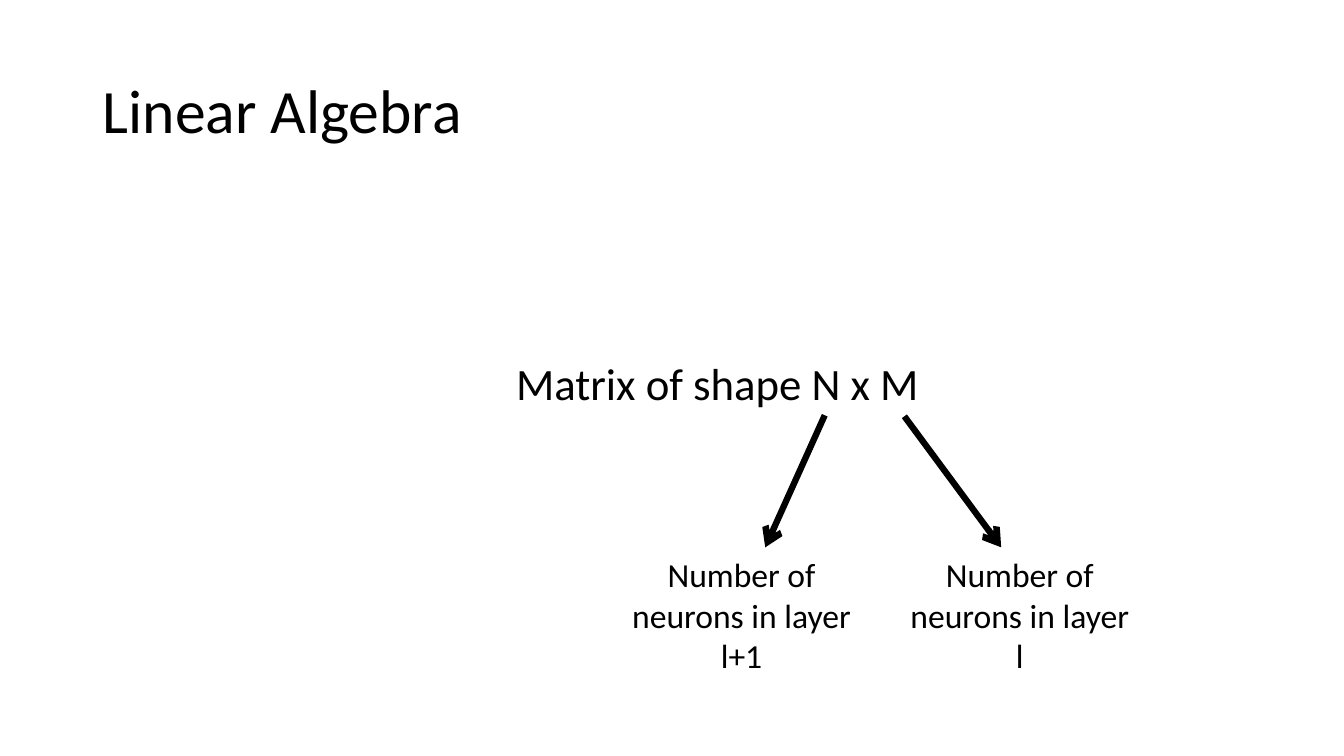
import pptx
import pptx.dml.color
import pptx.enum.shapes
import pptx.enum.text
import pptx.oxml
import pptx.oxml.ns
import pptx.util
from pptx.util import Inches

COLORS = {"ink": "000000", "background": "FFFFFF"}
FONT = "Calibri"
ALIGN = pptx.enum.text.PP_ALIGN


def rgb(name):
    """Return the named colour."""
    return pptx.dml.color.RGBColor.from_string(COLORS[name])


def write_text(shape, text, size, alignment=ALIGN.LEFT):
    """Put one formatted paragraph in a shape."""
    shape.text_frame.word_wrap = True
    paragraph = shape.text_frame.paragraphs[0]
    paragraph.text = text
    paragraph.alignment = alignment
    paragraph.font.name = FONT
    paragraph.font.size = pptx.util.Pt(size)
    paragraph.font.color.rgb = rgb("ink")
    return paragraph


def add_title(slide, left, top, width, height):
    """Place the slide title in its box."""
    title = slide.shapes.title
    title.left, title.top = Inches(left), Inches(top)
    title.width, title.height = Inches(width), Inches(height)
    paragraph = write_text(title, "Linear Algebra", 44)
    paragraph.line_spacing = 0.9
    title.text_frame.vertical_anchor = pptx.enum.text.MSO_ANCHOR.MIDDLE


def add_label(slide, box, text, size, alignment=ALIGN.LEFT):
    """Add a text box."""
    label = slide.shapes.add_textbox(*map(Inches, box))
    write_text(label, text, size, alignment)


def add_arrow(slide, start, end):
    """Draw a thick line with an open arrowhead at its end."""
    arrow = slide.shapes.add_connector(
        pptx.enum.shapes.MSO_CONNECTOR.STRAIGHT, *map(Inches, start + end))
    arrow.line.color.rgb = rgb("ink")
    arrow.line.width = pptx.util.Pt(4.5)
    head = pptx.oxml.parse_xml(
        f'<a:tailEnd {pptx.oxml.ns.nsdecls("a")} type="arrow"/>')
    arrow.line._get_or_add_ln().append(head)
    properties = arrow._element.spPr
    properties.append(pptx.oxml.parse_xml(
        f'<a:effectLst {pptx.oxml.ns.nsdecls("a")}/>'))


def add_matrix_diagram(slide, left, top):
    """Explain both dimensions of the matrix below its shape."""
    add_label(slide, (left, top, 4.73, 0.64), "Matrix of shape N x M", 32)
    dimensions = [
        ("l+1", 1.03, 2.61, (3.16, 0.64), (2.57, 1.95)),
        ("l", 3.86, 2.47, (3.95, 0.65), (4.91, 1.95)),
    ]
    for layer, offset, width, start, end in dimensions:
        add_arrow(slide, (left + start[0], top + start[1]),
                  (left + end[0], top + end[1]))
        add_label(slide, (left + offset, top + 1.97, width, 1.31),
                  f"Number of neurons in layer {layer}", 24, ALIGN.CENTER)


def main():
    """Build and save the slide."""
    presentation = pptx.Presentation()
    presentation.slide_width = Inches(13.33)
    presentation.slide_height = Inches(7.5)
    slide = presentation.slides.add_slide(presentation.slide_layouts[5])
    slide.background.fill.solid()
    slide.background.fill.fore_color.rgb = rgb("background")
    add_title(slide, 0.92, 0.4, 11.5, 1.45)
    add_matrix_diagram(slide, 5.02, 3.48)
    presentation.save("out.pptx")


if __name__ == "__main__":
    main()
